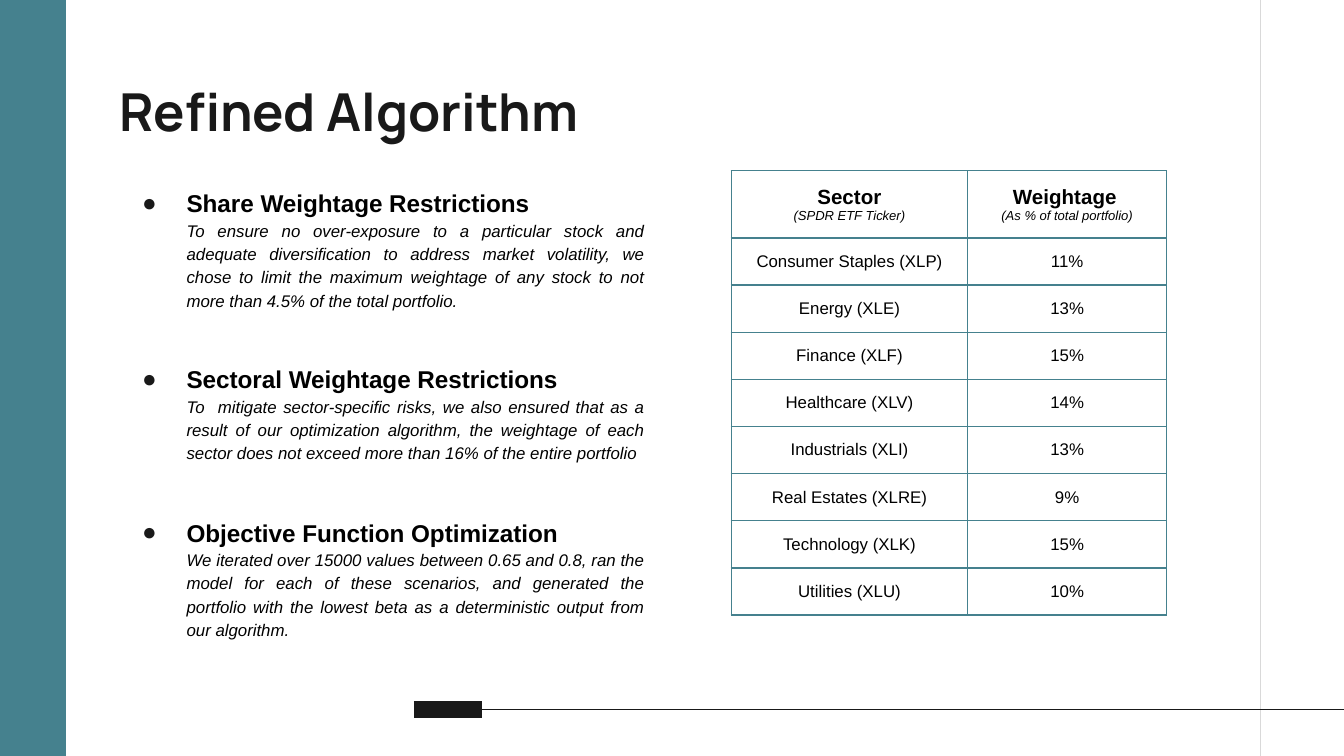
import pptx
import pptx.util
import pptx.dml.color
import pptx.enum.shapes
import pptx.enum.text
import pptx.oxml
import pptx.oxml.ns
import lxml.etree

Inches = pptx.util.Inches
Pt = pptx.util.Pt
RGBColor = pptx.dml.color.RGBColor
Align = pptx.enum.text.PP_ALIGN
Anchor = pptx.enum.text.MSO_ANCHOR
qn = pptx.oxml.ns.qn

TEAL = RGBColor(0x45, 0x81, 0x8E)
INK = RGBColor(0x19, 0x19, 0x19)
BLACK = RGBColor(0, 0, 0)
GREY = RGBColor(0xD9, 0xD9, 0xD9)

RESTRICTIONS = [
    (1.27, "Share Weightage Restrictions",
     "To ensure no over-exposure to a particular stock and adequate diversification to address "
     "market volatility, we chose to limit the maximum weightage of any stock to not more than "
     "4.5% of the total portfolio."),
    (2.58, "Sectoral Weightage Restrictions",
     "To  mitigate sector-specific risks, we also ensured that as a result of our optimization "
     "algorithm, the weightage of each sector does not exceed more than 16% of the entire portfolio"),
    (3.72, "Objective Function Optimization",
     "We iterated over 15000 values between 0.65 and 0.8, ran the model for each of these "
     "scenarios, and generated the portfolio with the lowest beta as a deterministic output "
     "from our algorithm."),
]

HEADINGS = [
    ([("Sector", 11)], "(SPDR ETF Ticker)"),
    ([("Weightage", 11), (" ", 9)], "(As % of total portfolio)"),
]

SECTORS = [
    ("Consumer Staples (XLP)", "11%"),
    ("Energy (XLE)", "13%"),
    ("Finance (XLF)", "15%"),
    ("Healthcare (XLV)", "14%"),
    ("Industrials (XLI)", "13%"),
    ("Real Estates (XLRE)", "9%"),
    ("Technology (XLK)", "15%"),
    ("Utilities (XLU)", "10%"),
]


class SlideBuilder:
    body_font = "Arial"
    title_font = "Manrope"
    inset = Inches(0.1)

    def __init__(self, slide):
        self.slide = slide

    def run(self, paragraph, text, size, bold=False, italic=False, color=BLACK, font=None):
        run = paragraph.add_run()
        run.text = text
        run.font.name = font or self.body_font
        run.font.size = Pt(size)
        run.font.bold = bold
        run.font.italic = italic
        run.font.color.rgb = color

    def band(self, left, top, width, height, color):
        band = self.slide.shapes.add_shape(
            pptx.enum.shapes.MSO_SHAPE.RECTANGLE, left, top, width, height)
        band.shadow.inherit = False
        band.fill.solid()
        band.fill.fore_color.rgb = color
        band.line.fill.background()

    def rule(self, x1, y1, x2, y2, color, weight):
        rule = self.slide.shapes.add_connector(
            pptx.enum.shapes.MSO_CONNECTOR.STRAIGHT,
            Inches(x1), Inches(y1), Inches(x2), Inches(y2))
        rule.line.color.rgb = color
        rule.line.width = Pt(weight)
        lxml.etree.SubElement(rule._element.spPr, qn("a:effectLst"))

    def text_frame(self, left, top, width, height):
        box = self.slide.shapes.add_textbox(
            Inches(left), Inches(top), Inches(width), Inches(height))
        frame = box.text_frame
        frame.word_wrap = True
        frame.margin_left = frame.margin_right = self.inset
        frame.margin_top = frame.margin_bottom = self.inset
        return frame

    def title(self, text):
        frame = self.text_frame(0.79, 0.49, 8.43, 0.63)
        self.run(frame.paragraphs[0], text, 28, bold=True, color=INK, font=self.title_font)

    def indent(self, paragraph, first_line):
        paragraph.alignment = Align.JUSTIFY
        paragraph.line_spacing = 1.15
        properties = paragraph._p.get_or_add_pPr()
        properties.set("marL", str(Inches(0.5)))
        properties.set("indent", str(Inches(first_line)))
        return properties

    def restriction(self, top, heading, explanation):
        frame = self.text_frame(0.79, top, 4.1, 1.02)
        lead = frame.paragraphs[0]
        properties = self.indent(lead, -0.33)
        bullet_color = lxml.etree.SubElement(properties, qn("a:buClr"))
        lxml.etree.SubElement(bullet_color, qn("a:srgbClr"), val=str(INK))
        lxml.etree.SubElement(properties, qn("a:buFont"), typeface=self.body_font)
        lxml.etree.SubElement(properties, qn("a:buChar"), char="●")
        self.run(lead, heading, 13, bold=True)
        detail = frame.add_paragraph()
        self.indent(detail, 0)
        self.run(detail, explanation, 9, italic=True)

    def border(self, cell):
        properties = cell._tc.get_or_add_tcPr()
        for position, side in enumerate(("a:lnL", "a:lnR", "a:lnT", "a:lnB")):
            edge = lxml.etree.Element(qn(side), w=str(Pt(0.75)))
            fill = lxml.etree.SubElement(edge, qn("a:solidFill"))
            lxml.etree.SubElement(fill, qn("a:srgbClr"), val=str(TEAL))
            properties.insert(position, edge)

    def cell(self, cell):
        cell.fill.background()
        cell.vertical_anchor = Anchor.MIDDLE
        cell.margin_left = cell.margin_right = self.inset
        cell.margin_top = cell.margin_bottom = self.inset
        self.border(cell)
        paragraph = cell.text_frame.paragraphs[0]
        paragraph.alignment = Align.CENTER
        return paragraph

    def weight_table(self, headings, sectors):
        height = Inches(3.3)
        frame = self.slide.shapes.add_table(
            len(sectors) + 1, len(headings),
            Inches(5.44), Inches(1.27), Inches(3.24), height)
        table = frame.table
        table.first_row = False
        table.horz_banding = False
        for column, width in zip(table.columns, (1.76, 1.48)):
            column.width = Inches(width)
        for index, row in enumerate(table.rows):
            row.height = Inches(0.27 if index else 0.36)
        frame.height = height
        for column, (heading, note) in enumerate(headings):
            cell = table.cell(0, column)
            paragraph = self.cell(cell)
            for text, size in heading:
                self.run(paragraph, text, size, bold=True)
            subheading = cell.text_frame.add_paragraph()
            subheading.alignment = Align.CENTER
            self.run(subheading, note, 7, italic=True)
        for row, sector in enumerate(sectors, start=1):
            for column, value in enumerate(sector):
                self.run(self.cell(table.cell(row, column)), value, 9)


def main():
    deck = pptx.Presentation()
    deck.slide_width = Inches(10)
    deck.slide_height = deck.slide_width * 9 // 16
    builder = SlideBuilder(deck.slides.add_slide(deck.slide_layouts[6]))

    builder.band(0, 0, Inches(0.49), deck.slide_height, TEAL)
    builder.rule(9.38, -0.04, 9.38, 5.66, GREY, 0.75)
    builder.rule(3.08, 5.28, 3.59, 5.28, INK, 9)
    builder.rule(3.59, 5.28, 10.01, 5.28, INK, 0.75)
    builder.title("Refined Algorithm")
    for restriction in RESTRICTIONS:
        builder.restriction(*restriction)
    builder.weight_table(HEADINGS, SECTORS)
    deck.save("out.pptx")


if __name__ == "__main__":
    main()
